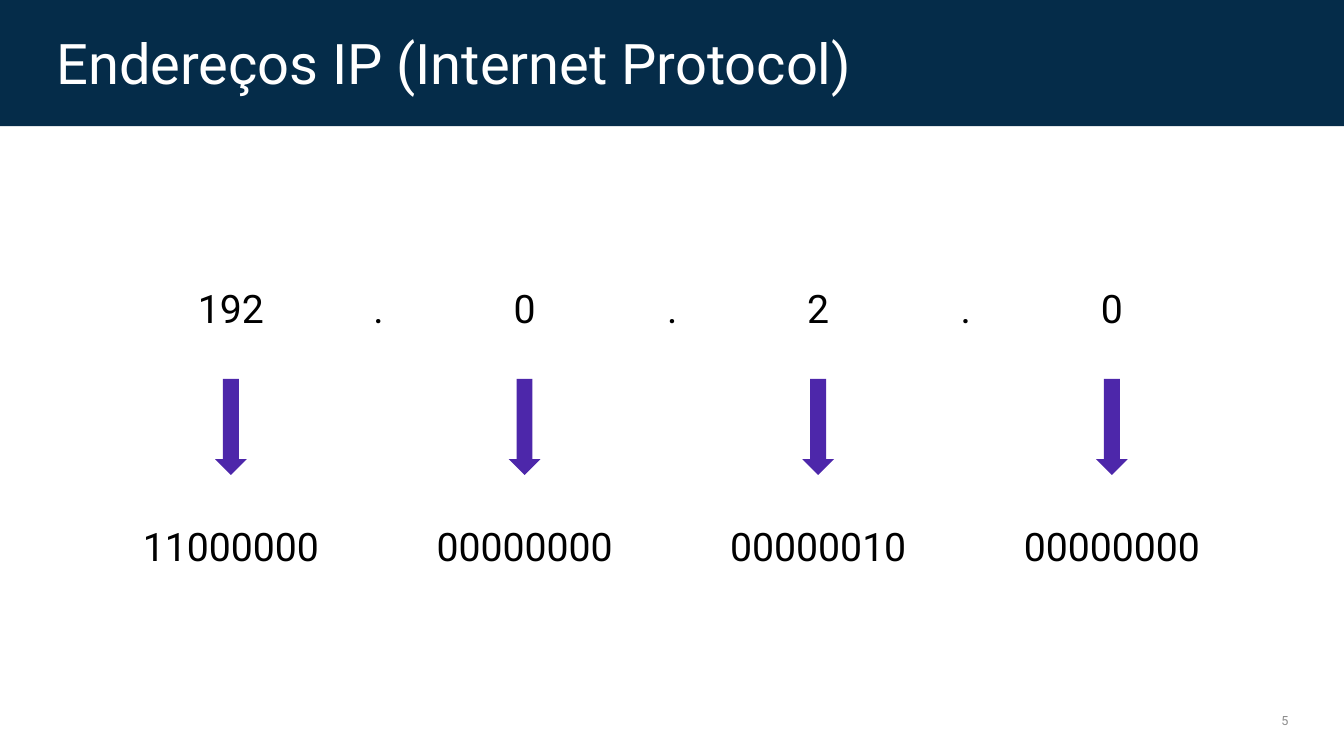
from dataclasses import dataclass

from lxml.etree import SubElement
from pptx import Presentation
from pptx.dml.color import RGBColor as Rgb
from pptx.enum.shapes import MSO_SHAPE as Kind
from pptx.enum.text import MSO_ANCHOR as Anchor, MSO_AUTO_SIZE as Fit, PP_ALIGN as Align
from pptx.oxml.ns import qn
from pptx.shapes.base import BaseShape
from pptx.util import Cm, Pt


@dataclass(frozen=True)
class Theme:
    font: str = "Roboto"
    navy: str = "002846"
    white: str = "FFFFFF"
    black: str = "000000"
    gray: str = "8C8C8C"
    violet: str = "4D27AA"
    title: int = 40
    body: int = 28
    note: int = 9


@dataclass(frozen=True)
class Octet:
    value: str
    bits: str
    width: float


THEME = Theme()
OCTETS = [
    Octet("192", "11000000", 2.26),
    Octet("0", "00000000", 1.09),
    Octet("2", "00000010", 1.09),
    Octet("0", "00000000", 1.09),
]

# Layout in centimetres
WIDE, HIGH = 33.87, 19.05
FIRST, STEP, DOT = 5.82, 7.4, 3.72
TOP, MID, LOW, LINE = 7.04, 9.55, 13.03, 1.45


def write(box: BaseShape, text: str, *, size: int = THEME.body, color: str = THEME.black,
          align: Align = Align.CENTER, anchor: Anchor = Anchor.TOP,
          wrap: bool = True, fit: Fit = Fit.NONE, lead: float = 1.0) -> None:
    frame = box.text_frame
    frame.word_wrap, frame.auto_size = wrap, fit
    frame.vertical_anchor = anchor
    par = frame.paragraphs[0]
    par.alignment, par.line_spacing = align, lead
    run = par.add_run()
    run.text = text
    run.font.name, run.font.size = THEME.font, Pt(size)
    run.font.color.rgb = Rgb.from_string(color)


def block(shapes, kind: Kind, area: tuple, color: str) -> BaseShape:
    shape = shapes.add_shape(kind, *map(Cm, area))
    shape.shadow.inherit = False
    shape.fill.solid()
    shape.fill.fore_color.rgb = Rgb.from_string(color)
    shape.line.fill.background()
    return shape


def label(shapes, text: str, mid: float, top: float, width: float, wrap: bool = False) -> None:
    box = shapes.add_textbox(Cm(mid - width / 2), Cm(top), Cm(width), Cm(LINE))
    write(box, text, wrap=wrap, fit=Fit.SHAPE_TO_FIT_TEXT)


def draw(shapes, octet: Octet, mid: float, dot: bool) -> None:
    label(shapes, octet.value, mid, TOP, octet.width)
    block(shapes, Kind.DOWN_ARROW, (mid - 0.4, MID, 0.8, 2.42), THEME.violet)
    label(shapes, octet.bits, mid, LOW, 5.18)
    if dot:
        label(shapes, ".", mid + DOT, TOP, 2.26, wrap=True)


def main() -> None:
    deck = Presentation()
    deck.slide_width, deck.slide_height = Cm(WIDE), Cm(HIGH)
    slide = deck.slides.add_slide(deck.slide_layouts[5])
    shapes = slide.shapes

    # Header bar, slightly transparent, behind the title
    title = shapes.title
    bar = block(shapes, Kind.RECTANGLE, (0, 0, WIDE, 3.18), THEME.navy)
    tint = next(bar.element.iter(qn("a:srgbClr")))
    SubElement(tint, qn("a:alpha"), val="98000")
    title.element.addprevious(bar.element)

    # Title
    title.left, title.top, title.width, title.height = map(Cm, (1.17, 1.02, 25.1, 1.32))
    write(title, "Endereços IP (Internet Protocol)", size=THEME.title, color=THEME.white,
          align=Align.LEFT, anchor=Anchor.MIDDLE, lead=0.9)

    # Octets with their binary form
    group = shapes.add_group_shape()
    for i, octet in enumerate(OCTETS):
        draw(group.shapes, octet, FIRST + i * STEP, i < len(OCTETS) - 1)

    # Page number
    page = shapes.add_textbox(Cm(25.1), Cm(17.65), Cm(7.62), Cm(1.02))
    write(page, "5", size=THEME.note, color=THEME.gray,
          align=Align.RIGHT, anchor=Anchor.MIDDLE)

    deck.save("out.pptx")


if __name__ == "__main__":
    main()
